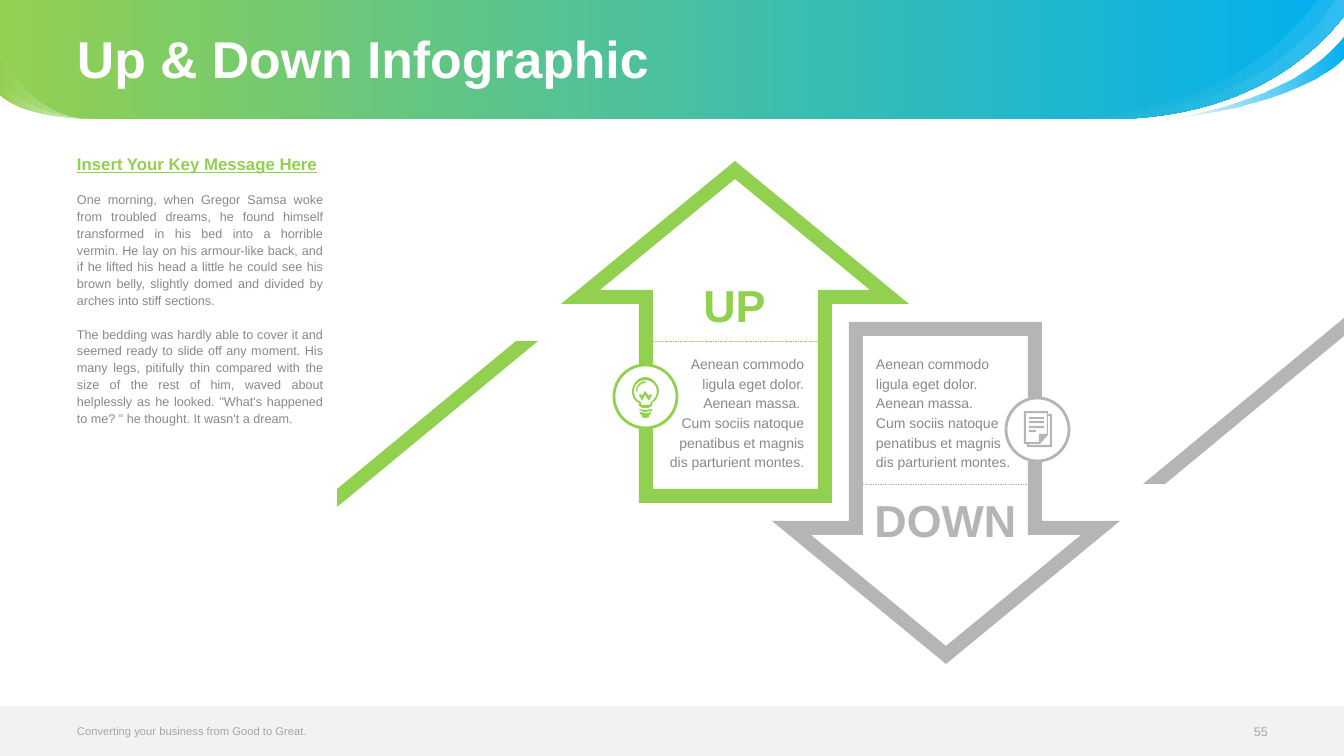
import pptx
import pptx.dml.color
import pptx.enum.dml
import pptx.enum.shapes
import pptx.enum.text
import pptx.oxml
import pptx.oxml.ns
import pptx.util

EMU_PER_PX = 914400 / 100.8
WIDTH, HEIGHT = 1344, 756
ALIGN = pptx.enum.text.PP_ALIGN
ANCHOR = pptx.enum.text.MSO_ANCHOR


class Theme:
    font = "Arial"
    green, blue, grey = "92D050", "00B0F0", "B5B5B5"
    white, band, body, footer = "FFFFFF", "F2F2F2", "85898F", "A6A6A6"
    title_pt, label_pt, key_pt, note_pt, small_pt, footer_pt = 37, 32, 12, 10, 9, 8
    ring_pt, divider_pt = 2, 0.25


# A contour is a start point, then (x, y) lines and six-number Bezier curves.
HEADER = [(1344, 0), (1344, 16), (1277, 101, 1179, 118, 1114, 119), (98, 119),
          (18, 118, 0, 95, 0, 95), (0, 0)]
RIGHT_GLOSS = [(1344, 0), (1344, 16), (1234, 154, 1047, 114, 1042, 113),
               (1048, 113, 1242, 140, 1335, 0)]
RIGHT_SWOOSH = [(1166, 119), (1166, 119, 1292, 104, 1344, 37), (1344, 59),
                (1344, 59, 1304, 105, 1166, 119)]
RIGHT_SHEEN = [(1344, 0), (1344, 16), (1233, 156, 1042, 113, 1042, 113),
               (1199, 123, 1280, 50, 1317, 0)]

ARROW = [
    [(832, 503), (639, 503), (639, 304), (561, 304), (735, 161), (909, 304), (832, 304)],
    [(653, 489), (818, 489), (818, 290), (870, 290), (735, 179), (600, 290), (653, 290)],
]
STRIPE = [[(538, 341), (337, 507), (337, 489), (516, 341)]]
DIVIDER = [(653, 341), (818, 341)]

BULB = [
    [(645, 377), (638, 377, 632, 384, 632, 391), (632, 396, 634, 401, 639, 403), (639, 406),
     (641, 408, 643, 408, 645, 408), (648, 408, 650, 408, 652, 406), (652, 403),
     (656, 401, 659, 396, 659, 391), (659, 384, 652, 377, 645, 377)],
    [(651, 402), (650, 405), (641, 405), (641, 402), (636, 400, 634, 396, 634, 391),
     (634, 385, 639, 380, 645, 380), (652, 380, 657, 385, 657, 391),
     (657, 396, 654, 400, 651, 402)],
    [(639, 409), (640, 410), (641, 411, 643, 412, 645, 412), (648, 412, 650, 411, 652, 411),
     (652, 409), (650, 409, 648, 410, 645, 410), (643, 410, 641, 409, 639, 409)],
    [(640, 412), (640, 414), (642, 415), (642, 417), (642, 417, 643, 418, 645, 418),
     (648, 418, 649, 417, 649, 417), (649, 415), (651, 414), (651, 412),
     (650, 413, 648, 413, 645, 413), (643, 413, 642, 413, 640, 412)],
    [(649, 396), (645, 391), (642, 396), (641, 394), (639, 395), (642, 401), (645, 395),
     (649, 401), (652, 395), (650, 394)],
    [(645, 383), (646, 382), (645, 381), (640, 381, 636, 386, 636, 391), (637, 392),
     (637, 387, 641, 383, 645, 383)],
]
PAGES = [
    [(1048, 414), (1048, 411), (1024, 411), (1024, 444), (1027, 444), (1027, 447),
     (1052, 447), (1052, 414)],
    [(1026, 442), (1026, 413), (1047, 413), (1047, 434), (1039, 434), (1039, 442)],
    [(1050, 445), (1029, 445), (1029, 444), (1040, 444), (1048, 435), (1048, 416),
     (1050, 416)],
] + [[(1029, y), (right, y), (right, y + 2), (1029, y + 2)]
     for y, right in ((417, 1044), (421, 1044), (426, 1044), (430, 1036))]

MESSAGE = [
    "One morning, when Gregor Samsa woke from troubled dreams, he found himself transformed "
    "in his bed into a horrible vermin. He lay on his armour-like back, and if he lifted his "
    "head a little he could see his brown belly, slightly domed and divided by arches into "
    "stiff sections.",
    "The bedding was hardly able to cover it and seemed ready to slide off any moment. His "
    "many legs, pitifully thin compared with the size of the rest of him, waved about "
    "helplessly as he looked. \"What's happened to me? \" he thought. It wasn't a dream.",
]
NOTE = ["Aenean commodo ligula eget dolor. Aenean massa. ",
        "Cum sociis natoque penatibus et magnis dis parturient montes."]


def px(n):
    return pptx.util.Emu(round(n * EMU_PER_PX))


def rgb(color):
    return pptx.dml.color.RGBColor.from_string(color)


def turned(contour):
    """Half turn about the point midway between the two arrows."""
    return [(1681 - x, 825 - y) for x, y in contour]


def paint(shape, color):
    shape.shadow.inherit = False
    shape.fill.solid()
    shape.fill.fore_color.rgb = rgb(color)
    shape.line.fill.background()


def bend(shape, contours):
    """Merge the three line segments that stand for each curve into one Bezier."""
    qn = pptx.oxml.ns.qn
    lines = iter(list(shape._element.spPr.iter(qn("a:lnTo"))))
    for step in (step for contour in contours for step in contour[1:]):
        curve = next(lines)
        if len(step) == 6:
            curve.tag = qn("a:cubicBezTo")
            for _ in range(2):
                line = next(lines)
                curve.append(line[0])
                line.getparent().remove(line)


def add_outline(s, contours, color):
    builder = None
    for contour in contours:
        points = [(px(step[i]), px(step[i + 1]))
                  for step in contour for i in range(0, len(step), 2)]
        if builder is None:
            builder = s.shapes.build_freeform(*points[0], scale=1.0)
        else:
            builder.move_to(*points[0])
        builder.add_line_segments(points[1:], close=True)
    shape = builder.convert_to_shape()
    bend(shape, contours)
    paint(shape, color)
    return shape


def add_gradient_outline(s, contour, *stops):
    """Each stop is (position, colour, opacity), positions and opacity from 0 to 1."""
    shape = add_outline(s, [contour], stops[0][1])
    shape.fill.gradient()
    shape.fill.gradient_angle = 0
    for stop, (position, color, _) in zip(shape.fill.gradient_stops, stops):
        stop.position = position
        stop.color.rgb = rgb(color)
    tag = pptx.oxml.ns.qn("a:srgbClr")
    for clr, (_, _, opacity) in zip(shape._element.spPr.iter(tag), stops):
        if opacity < 1:
            alpha = pptx.oxml.parse_xml(
                f'<a:alpha {pptx.oxml.ns.nsdecls("a")} val="{round(opacity * 100000)}"/>')
            clr.append(alpha)


def add_divider(s, ends, color):
    (x1, y1), (x2, y2) = ends
    line = s.shapes.add_connector(pptx.enum.shapes.MSO_CONNECTOR.STRAIGHT,
                                  px(x1), px(y1), px(x2), px(y2))
    line.line.color.rgb = rgb(color)
    line.line.width = pptx.util.Pt(Theme.divider_pt)
    line.line.dash_style = pptx.enum.dml.MSO_LINE.DASH
    line._element.spPr.append(
        pptx.oxml.parse_xml(f'<a:effectLst {pptx.oxml.ns.nsdecls("a")}/>'))


def add_badge(s, x, y, icon, color):
    ring = s.shapes.add_shape(pptx.enum.shapes.MSO_SHAPE.OVAL, px(x), px(y), px(63), px(63))
    paint(ring, Theme.white)
    ring.line.color.rgb = rgb(color)
    ring.line.width = pptx.util.Pt(Theme.ring_pt)
    add_outline(s, icon, color)


def add_text(s, box, paragraphs, anchor=ANCHOR.TOP, gap=0, **layout):
    """Each paragraph is (text, font values); layout holds paragraph values."""
    tf = s.shapes.add_textbox(*map(px, box)).text_frame
    frame = dict(word_wrap=True, vertical_anchor=anchor, margin_left=0, margin_top=0,
                 margin_right=0, margin_bottom=0)
    for name, value in frame.items():
        setattr(tf, name, value)
    for i, (text, (color, font)) in enumerate(paragraphs):
        p = tf.paragraphs[0] if i == 0 else tf.add_paragraph()
        for name, value in layout.items():
            setattr(p, name, value)
        if i and gap:
            p.space_before = pptx.util.Pt(gap)
        r = p.add_run()
        r.text = text
        for name, value in font.items():
            setattr(r.font, name, value)
        r.font.color.rgb = rgb(color)


def style(size, color, **extra):
    return color, dict(name=Theme.font, size=pptx.util.Pt(size), **extra)


def add_header(s):
    white = Theme.white
    add_gradient_outline(s, HEADER, (0, Theme.green, 1), (1, Theme.blue, 1))
    add_gradient_outline(s, RIGHT_GLOSS, (0.15, white, 0), (1, white, 0.1))
    add_gradient_outline(s, RIGHT_SWOOSH, (0, Theme.blue, 0), (1, Theme.blue, 1))
    add_gradient_outline(s, RIGHT_SHEEN, (0.15, white, 0), (1, white, 0.1))
    for top in (77, 45):
        curl = [(98, 119), (18, 118, 0, 95, 0, 95), (0, top), (0, top, 18, 118, 98, 119)]
        add_gradient_outline(s, curl, (0, white, 0), (1, white, 0.5))
    add_text(s, (77, 2, 1190, 119), [("Up & Down Infographic",
             style(Theme.title_pt, white, bold=True))], ANCHOR.MIDDLE, line_spacing=0.9)


def add_footer(s):
    bar = s.shapes.add_shape(pptx.enum.shapes.MSO_SHAPE.RECTANGLE,
                             0, px(706), px(WIDTH), px(50))
    paint(bar, Theme.band)
    add_text(s, (77, 718, 527, 26), [("Converting your business from Good to Great.",
             style(Theme.footer_pt, Theme.footer))], ANCHOR.MIDDLE)
    add_text(s, (1205, 718, 63, 26), [("55", style(Theme.small_pt, Theme.footer))],
             ANCHOR.MIDDLE, alignment=ALIGN.RIGHT)


def add_message(s):
    key = ("Insert Your Key Message Here",
           style(Theme.key_pt, Theme.green, bold=True, underline=True))
    body = [(text, style(Theme.small_pt, Theme.body)) for text in MESSAGE]
    add_text(s, (77, 157, 246, 523), [key] + body, gap=12, alignment=ALIGN.JUSTIFY,
             line_spacing=pptx.util.Pt(12))


def add_direction(s, color, place, badge, label, label_box, note_x, note_align):
    for contours in (ARROW, STRIPE):
        add_outline(s, [place(c) for c in contours], color)
    add_divider(s, sorted(place(DIVIDER)), color)
    add_badge(s, *badge, color)
    add_text(s, (note_x, 353, 139, 119),
             [(text, style(Theme.note_pt, Theme.body)) for text in NOTE],
             alignment=note_align, line_spacing=pptx.util.Pt(14))
    add_text(s, label_box, [(label, style(Theme.label_pt, color, bold=True))],
             alignment=ALIGN.CENTER)


def main():
    prs = pptx.Presentation()
    prs.slide_width, prs.slide_height = px(WIDTH), px(HEIGHT)
    s = prs.slides.add_slide(prs.slide_layouts[6])
    add_header(s)
    add_footer(s)
    add_message(s)
    add_direction(s, Theme.grey, turned, (1006, 398, PAGES), "DOWN", (868, 493, 155, 54),
                  876, ALIGN.LEFT)
    add_direction(s, Theme.green, list, (614, 365, BULB), "UP", (665, 278, 139, 54),
                  665, ALIGN.RIGHT)
    prs.save("out.pptx")


if __name__ == "__main__":
    main()
